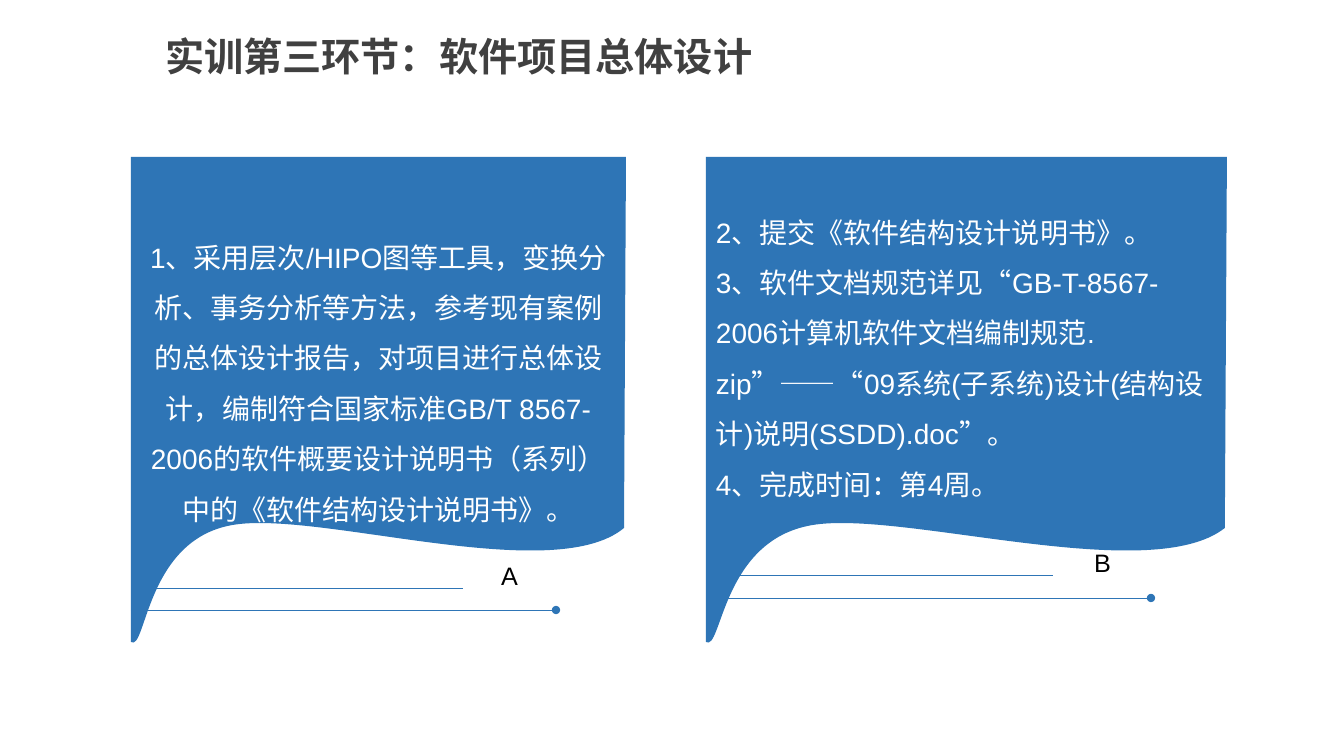
from dataclasses import dataclass

from lxml.etree import SubElement
from pptx import Presentation
from pptx.dml.color import RGBColor
from pptx.enum.lang import MSO_LANGUAGE_ID as Language
from pptx.enum.shapes import MSO_CONNECTOR as Connector
from pptx.enum.text import MSO_ANCHOR as Anchor, MSO_AUTO_SIZE as AutoSize, PP_ALIGN as Align
from pptx.oxml.ns import qn
from pptx.util import Pt

TITLE = "实训第三环节：软件项目总体设计"
TITLE_BOX = (155, 27, 708, 57)
PANELS = [
    {
        "left": 131, "width": 495, "align": Align.CENTER, "bottom_inset": 55,
        "text": ["1、采用层次/HIPO图等工具，变换分析、事务分析等方法，参考现有案例的总体设计报告，"
                 "对项目进行总体设计，编制符合国家标准GB/T 8567-2006的软件概要设计说明书（系列）"
                 "中的《软件结构设计说明书》。"],
        "short_line": (145, 463, 588), "dotted_line": (131, 556, 610),
        "letter": "A", "letter_box": (469, 541, 81, 69),
    },
    {
        "left": 706, "width": 521, "align": Align.LEFT, "bottom_inset": 105,
        "text": ["2、提交《软件结构设计说明书》。",
                 "3、软件文档规范详见“GB-T-8567-2006计算机软件文档编制规范.zip”——"
                 "“09系统(子系统)设计(结构设计)说明(SSDD).doc”。",
                 "4、完成时间：第4周。"],
        "short_line": (722, 1053, 575), "dotted_line": (707, 1151, 598),
        "letter": "B", "letter_box": (1060, 525, 85, 74),
    },
]

# Panel outline: x as a share of the panel width, y in px
PANEL_TOP = 157
CORNERS = [(1, PANEL_TOP), (0.996, 528)]
CURL = [
    [(0.85, 588), (0.36, 507), (0.195, 526)],
    [(0.03, 544), (0.03, 652), (0, 642)],
]


@dataclass(frozen=True)
class Theme:
    font: str = "Arial"
    blue: RGBColor = RGBColor(0x2E, 0x75, 0xB6)
    white: RGBColor = RGBColor(0xFF, 0xFF, 0xFF)
    black: RGBColor = RGBColor(0, 0, 0)
    grey: RGBColor = RGBColor(0x40, 0x40, 0x40)
    title_size: int = 28
    body_size: int = 20
    letter_size: int = 18
    line_width: float = 0.5


THEME = Theme()


def px(value):
    return round(value * 914400 / 100.8)


def write(frame, lines, size, color, align=Align.LEFT, spacing=1.0, bold=False):
    frame.word_wrap = True
    frame.auto_size = AutoSize.NONE
    for index, line in enumerate(lines):
        paragraph = frame.paragraphs[0] if index == 0 else frame.add_paragraph()
        paragraph.alignment = align
        paragraph.line_spacing = spacing
        run = paragraph.add_run()
        run.text = line
        font = run.font
        font.name, font.size, font.bold = THEME.font, Pt(size), bold
        font.color.rgb = color
        font.language_id = Language.SIMPLIFIED_CHINESE


def add_rule(shapes, start, end, y, dotted=False):
    """Draw a thin horizontal line, with a dot at its right end if dotted."""
    rule = shapes.add_connector(Connector.STRAIGHT, px(start), px(y), px(end), px(y))
    rule.line.color.rgb = THEME.blue
    rule.line.width = Pt(THEME.line_width)
    properties = rule.line._get_or_add_ln()
    if dotted:
        SubElement(properties, qn("a:tailEnd"), type="oval")
    SubElement(properties.getparent(), qn("a:effectLst"))


def bend(segment, points):
    """Turn a straight outline segment into a cubic curve through local points."""
    segment.tag = qn("a:cubicBezTo")
    segment.clear()
    for x, y in points:
        SubElement(segment, qn("a:pt"), x=str(x), y=str(y))


def add_curled_sheet(shapes, left, width):
    ends = [curve[-1] for curve in CURL]
    outline = [(px(left + x * width), px(y)) for x, y in CORNERS + ends]
    builder = shapes.build_freeform(px(left), px(PANEL_TOP), scale=1.0)
    builder.add_line_segments(outline, close=True)
    sheet = builder.convert_to_shape()
    segments = list(sheet.element.iter(qn("a:lnTo")))[len(CORNERS):]
    for segment, curve in zip(segments, CURL):
        points = [(px(x * width), px(y - PANEL_TOP)) for x, y in curve]
        curved = SubElement(segment.getparent(), qn("a:cubicBezTo"))
        for x, y in points:
            SubElement(curved, qn("a:pt"), x=str(x), y=str(y))
        segment.getparent().replace(segment, curved)
    sheet.shadow.inherit = False
    sheet.fill.solid()
    sheet.fill.fore_color.rgb = THEME.blue
    sheet.line.fill.background()
    return sheet


def add_panel(slide, panel):
    shapes = slide.shapes.add_group_shape().shapes
    add_rule(shapes, *panel["short_line"])
    add_rule(shapes, *panel["dotted_line"], dotted=True)

    frame = add_curled_sheet(shapes, panel["left"], panel["width"]).text_frame
    frame.vertical_anchor = Anchor.MIDDLE
    frame.margin_left = frame.margin_right = px(10)
    frame.margin_top, frame.margin_bottom = px(5), px(panel["bottom_inset"])
    write(frame, panel["text"], THEME.body_size, THEME.white, panel["align"], spacing=1.5)

    letter = shapes.add_textbox(*map(px, panel["letter_box"])).text_frame
    letter.vertical_anchor = Anchor.MIDDLE
    write(letter, [panel["letter"]], THEME.letter_size, THEME.black, Align.CENTER)


def main():
    presentation = Presentation()
    presentation.slide_width, presentation.slide_height = px(1344), px(756)
    slide = presentation.slides.add_slide(presentation.slide_layouts[5])

    title = slide.shapes.title
    title.left, title.top, title.width, title.height = map(px, TITLE_BOX)
    title.text_frame.vertical_anchor = Anchor.TOP
    write(title.text_frame, [TITLE], THEME.title_size, THEME.grey, bold=True)

    for panel in PANELS:
        add_panel(slide, panel)
    presentation.save("out.pptx")


if __name__ == "__main__":
    main()
